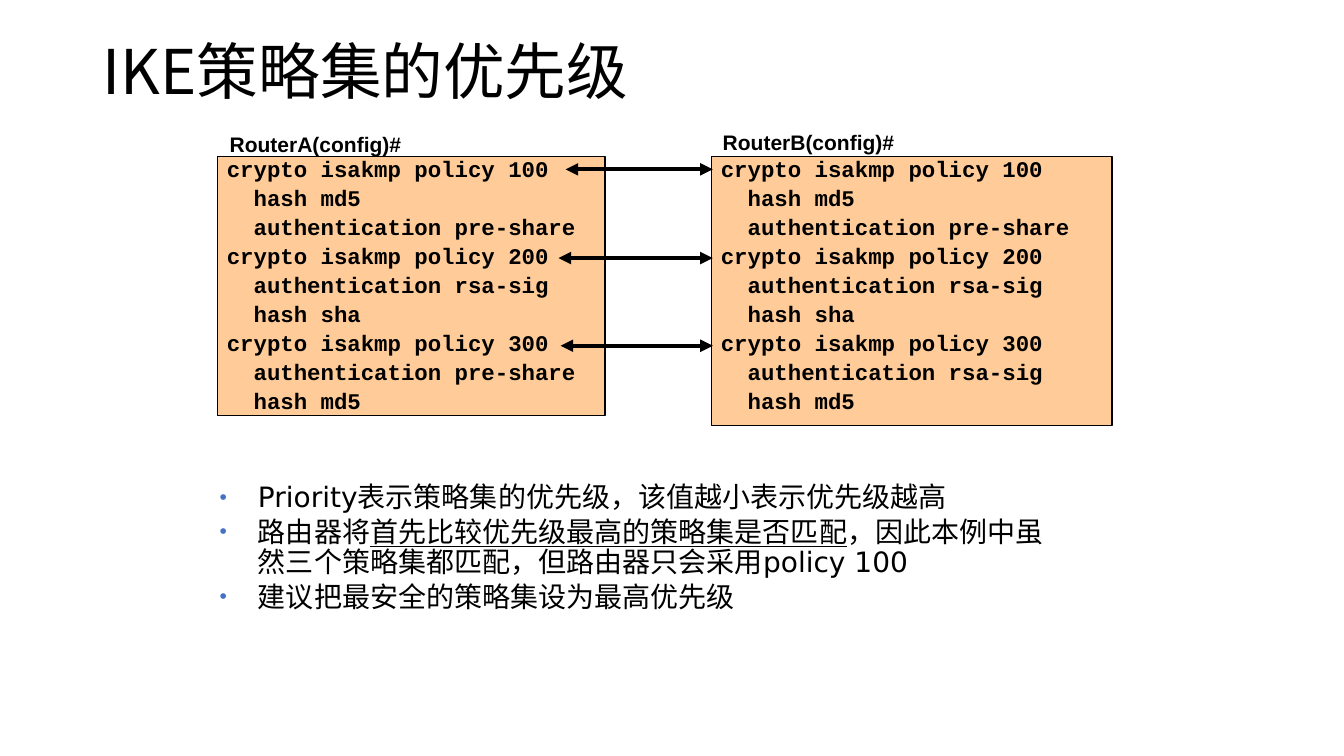
"""Build the slide on the priority of IKE policy sets."""
from lxml import etree
from pptx import Presentation
from pptx import util as u
from pptx.dml.color import RGBColor
from pptx.enum import shapes, text
from pptx.oxml.ns import qn

BLACK = RGBColor(0x00, 0x00, 0x00)
PEACH = RGBColor(0xFF, 0xCC, 0x99)
BULLET_BLUE = RGBColor(0x44, 0x72, 0xC4)
CJK_FONT = "Noto Sans CJK SC"


def style(para, name, size, bold=False, east_asian=None):
    """Set the font of a whole paragraph."""
    font = para.font
    font.name, font.size, font.bold = name, u.Pt(size), bold
    font.color.rgb = BLACK
    if east_asian:
        defaults = para._p.pPr.find(qn("a:defRPr"))
        etree.SubElement(defaults, qn("a:ea"), typeface=east_asian)


def add_text_box(left, top, width, height, anchor, wrap=True):
    """Add an empty text box and return its text frame."""
    box = page.shapes.add_textbox(*map(u.Inches, (left, top, width, height)))
    frame = box.text_frame
    frame.word_wrap, frame.vertical_anchor = wrap, anchor
    return frame


deck = Presentation()
deck.slide_width, deck.slide_height = u.Inches(13.33), u.Inches(7.5)
page = deck.slides.add_slide(deck.slide_layouts[6])

title = add_text_box(0.92, 0.01, 11.5, 1.45, text.MSO_ANCHOR.MIDDLE).paragraphs[0]
title.text = "IKE策略集的优先级"
title.line_spacing = 0.9
style(title, CJK_FONT, 44, east_asian=CJK_FONT)

CODE_TOP = 1.55
routers = [
    ("RouterA(config)#", 2.18, 1.25, 2.16, 3.84, 2.57, "pre-share"),
    ("RouterB(config)#", 7.07, 1.23, 7.06, 3.97, 2.67, "rsa-sig"),
]
for prompt, prompt_left, prompt_top, left, width, height, last_method in routers:
    box = page.shapes.add_shape(
        shapes.MSO_SHAPE.RECTANGLE, *map(u.Inches, (left, CODE_TOP, width, height)))
    box.shadow.inherit = False
    box.fill.solid()
    box.fill.fore_color.rgb = PEACH
    box.line.color.rgb = BLACK
    box.line.width = u.Pt(1)
    frame = box.text_frame
    frame.word_wrap = True
    frame.vertical_anchor = text.MSO_ANCHOR.TOP
    frame.margin_left = frame.margin_right = u.Inches(0.09)
    frame.margin_top = frame.margin_bottom = u.Inches(0.05)
    commands = [
        "crypto isakmp policy 100", "  hash md5", "  authentication pre-share",
        "crypto isakmp policy 200", "  authentication rsa-sig", "  hash sha",
        "crypto isakmp policy 300", f"  authentication {last_method}", "  hash md5",
    ]
    for index, command in enumerate(commands):
        para = frame.add_paragraph() if index else frame.paragraphs[0]
        para.text = command
        para.alignment = text.PP_ALIGN.LEFT
        para.line_spacing = 0.75
        para.space_after = u.Pt(6.3)
        style(para, "Courier New", 16, bold=True)

    label = add_text_box(
        prompt_left, prompt_top, 1.9, 0.35, text.MSO_ANCHOR.MIDDLE, wrap=False).paragraphs[0]
    label.text = prompt
    style(label, "Arial", 15, bold=True)

for start, height in [(5.61, 1.68), (5.54, 2.56), (5.56, 3.43)]:
    arrow = page.shapes.add_connector(
        shapes.MSO_CONNECTOR.STRAIGHT, *map(u.Inches, (start, height, 7.07, height)))
    arrow.line.color.rgb = BLACK
    arrow.line.width = u.Pt(3)
    for end in ("a:headEnd", "a:tailEnd"):
        etree.SubElement(arrow.line._get_or_add_ln(), qn(end), type="triangle")
    etree.SubElement(arrow._element.spPr, qn("a:effectLst"))

notes = [
    [("Priority表示策略集的优先级，该值越小表示优先级越高", False)],
    [("路由器将", False), ("首先比较优先级最高的策略集是否匹配", True),
     ("，因此本例中虽然三个策略集都匹配，但路由器只会采用policy 100", False)],
    [("建议把最安全的策略集设为最高优先级", False)],
]
frame = add_text_box(2.08, 4.75, 8.59, 1.81, text.MSO_ANCHOR.TOP)
for index, note in enumerate(notes):
    para = frame.add_paragraph() if index else frame.paragraphs[0]
    props = para._p.get_or_add_pPr()
    props.set("marL", str(u.Inches(0.38)))
    props.set("indent", str(-u.Inches(0.38)))
    colour = etree.SubElement(props, qn("a:buClr"))
    etree.SubElement(colour, qn("a:srgbClr"), val=str(BULLET_BLUE))
    etree.SubElement(props, qn("a:buSzPct"), val="75000")
    etree.SubElement(props, qn("a:buFont"), typeface="Arial")
    etree.SubElement(props, qn("a:buChar"), char="•")
    para.line_spacing = 0.9
    if index:
        para.space_before = u.Pt(3)
    style(para, "DejaVu Sans", 20, east_asian=CJK_FONT)
    for words, underlined in note:
        span = para.add_run()
        span.text = words
        if underlined:
            span.font.underline = True

deck.save("out.pptx")
